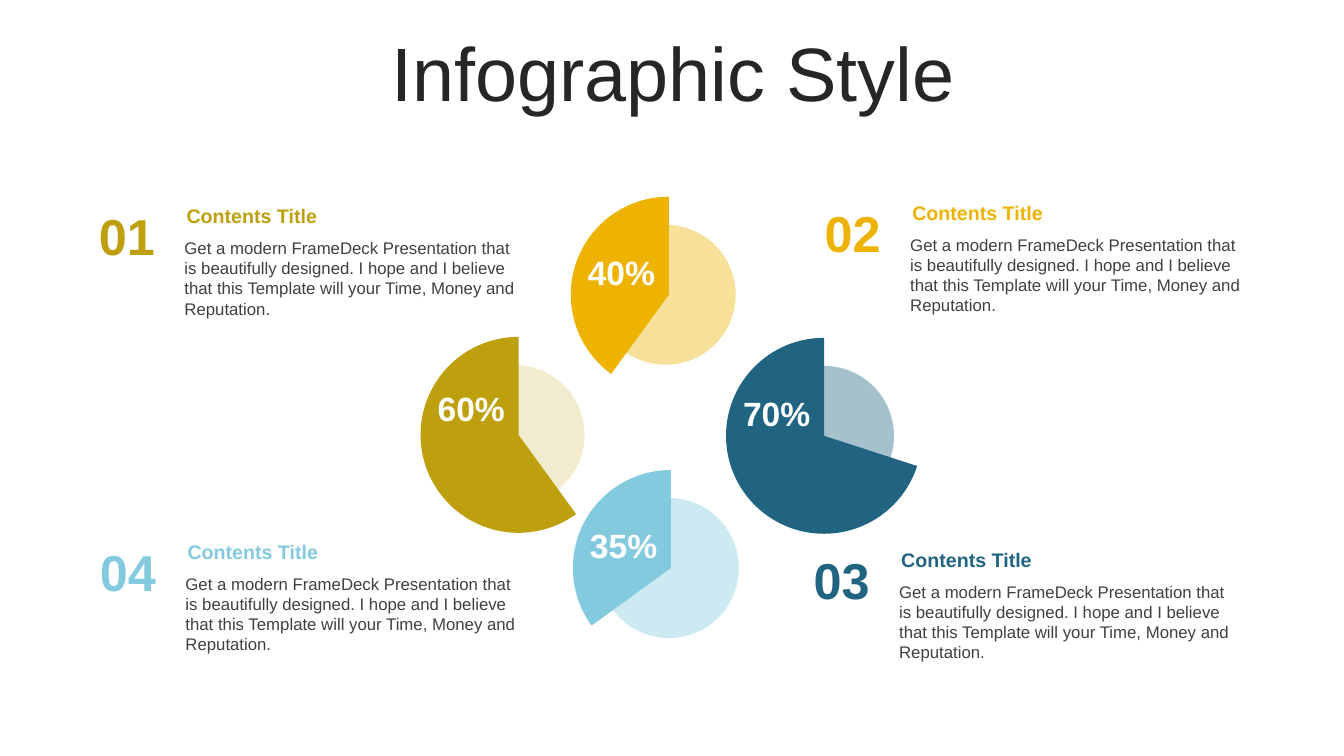
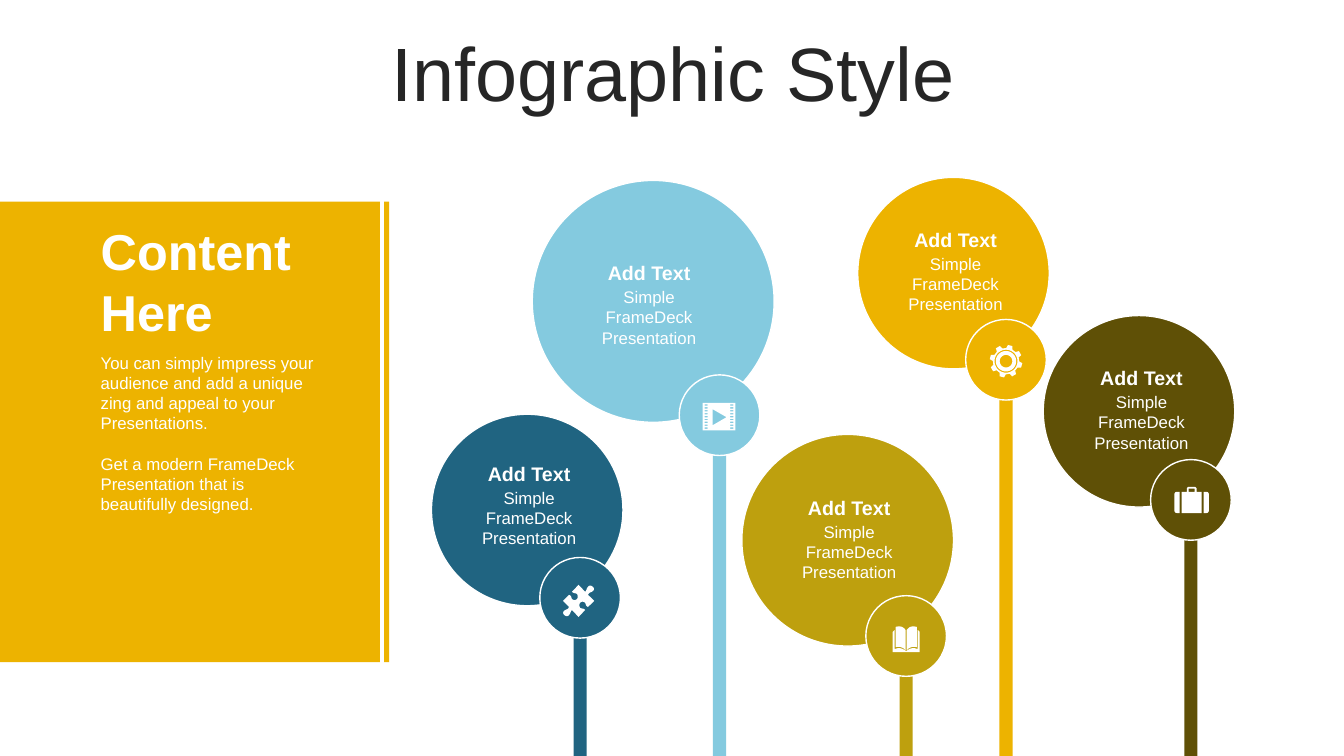
"""Build two infographic slides: pie bubbles and balloon stems."""
import math
from dataclasses import dataclass

import lxml.etree
import pptx
import pptx.chart.data
import pptx.dml.color
import pptx.enum.chart
import pptx.enum.shapes
import pptx.enum.text
import pptx.oxml.ns
import pptx.shapes.autoshape
import pptx.slide
import pptx.util

Pt = pptx.util.Pt
qn = pptx.oxml.ns.qn
SHAPE = pptx.enum.shapes.MSO_SHAPE
ALIGN = pptx.enum.text.PP_ALIGN
ANCHOR = pptx.enum.text.MSO_ANCHOR
Contour = list[tuple[float, ...]]


@dataclass(frozen=True)
class Theme:
    font: str = "Arial"
    white: str = "FFFFFF"
    ink: str = "262626"
    grey: str = "404040"
    amber: str = "EDB300"
    olive: str = "BEA00E"
    brown: str = "5F5006"
    blue: str = "206481"
    sky: str = "84CADF"
    title: float = 54
    number: float = 36
    percent: float = 24
    heading: float = 14
    body: float = 12


@dataclass(frozen=True)
class Pie:
    left: float
    top: float
    percent: int
    color: str
    disc_dx: float = 0
    label_dy: float = 45.4
    alpha: int = 40


@dataclass(frozen=True)
class Entry:
    left: float
    top: float
    number: str
    color: str


@dataclass(frozen=True)
class Balloon:
    left: float
    top: float
    size: float
    badge_x: float
    badge_y: float
    text_left: float
    text_top: float
    color: str
    icon: list[Contour]


T = Theme()
WIDTH, HEIGHT = 960, 540
PIE_W, PIE_H, PIE_SIZE, DISC = 162, 159.1, 140, 100
BADGE, STEM = 57.6, 9.4
PITCH = ("Get a modern FrameDeck Presentation that is beautifully designed. "
         "I hope and I believe that this Template will your Time, Money and Reputation.")


def rgb(color: str) -> pptx.dml.color.RGBColor:
    return pptx.dml.color.RGBColor.from_string(color)


def paint(sp: pptx.shapes.autoshape.Shape, color: str, outline: str | None = None,
          alpha: int = 100) -> None:
    sp.shadow.inherit = False
    sp.fill.solid()
    sp.fill.fore_color.rgb = rgb(color)
    if alpha < 100:
        clr = sp.fill._xPr.find(qn("a:solidFill"))[0]
        lxml.etree.SubElement(clr, qn("a:alpha")).set("val", str(alpha * 1000))
    if outline:
        sp.line.color.rgb = rgb(outline)
        sp.line.width = Pt(1)
    else:
        sp.line.fill.background()


def add_shape(s: pptx.slide.Slide, kind: SHAPE, left: float, top: float, width: float,
              height: float, color: str, outline: str | None = None, alpha: int = 100) -> None:
    sp = s.shapes.add_shape(kind, Pt(left), Pt(top), Pt(width), Pt(height))
    paint(sp, color, outline, alpha)


def add_text(s: pptx.slide.Slide, text: str, left: float, top: float, width: float,
             height: float, size: float, color: str, bold: bool = False,
             align: ALIGN = ALIGN.LEFT, anchor: ANCHOR = ANCHOR.TOP, inset: float = 7.2,
             gap: float = 0, spacing: float = 1.0) -> None:
    sp = s.shapes.add_textbox(Pt(left), Pt(top), Pt(width), Pt(height))
    tf = sp.text_frame
    tf.word_wrap = True
    tf.vertical_anchor = anchor
    tf.margin_left = tf.margin_right = Pt(inset)
    tf.text = text
    for i, p in enumerate(tf.paragraphs):
        p.alignment = align
        p.line_spacing = spacing
        if i:
            p.space_before = Pt(gap)
        for r in p.runs:
            r.font.name = T.font
            r.font.size = Pt(size)
            r.font.bold = bold
            r.font.color.rgb = rgb(color)


def add_slide(prs: pptx.presentation.Presentation) -> pptx.slide.Slide:
    s = prs.slides.add_slide(prs.slide_layouts[6])
    add_text(s, "Infographic Style", 25.2, 26.6, 911.5, 56.9, T.title, T.ink,
             align=ALIGN.CENTER, anchor=ANCHOR.MIDDLE, spacing=0.9)
    return s


def center_plot(chart: pptx.chart.chart.Chart) -> None:
    area = chart.element.find(".//" + qn("c:plotArea"))
    for old in area.findall(qn("c:layout")):
        area.remove(old)
    layout = lxml.etree.Element(qn("c:layout"))
    manual = lxml.etree.SubElement(layout, qn("c:manualLayout"))
    w, h = PIE_SIZE / PIE_W, PIE_SIZE / PIE_H
    for tag, value in (("layoutTarget", "inner"), ("xMode", "edge"), ("yMode", "edge"),
                       ("x", (1 - w) / 2), ("y", (1 - h) / 2), ("w", w), ("h", h)):
        lxml.etree.SubElement(manual, qn("c:" + tag)).set("val", str(value))
    area.insert(0, layout)


def draw_pie(s: pptx.slide.Slide, pie: Pie) -> None:
    data = pptx.chart.data.CategoryChartData()
    data.categories = ["1", "2"]
    data.add_series("Series 1", (100 - pie.percent, pie.percent))
    chart = s.shapes.add_chart(pptx.enum.chart.XL_CHART_TYPE.PIE, Pt(pie.left), Pt(pie.top),
                               Pt(PIE_W), Pt(PIE_H), data).chart
    chart.has_legend = chart.has_title = False
    chart.font.name = T.font
    chart.font.size = Pt(18)
    chart.plots[0].vary_by_categories = False
    rest, share = (chart.series[0].points[i].format for i in range(2))
    rest.fill.background()
    share.fill.solid()
    share.fill.fore_color.rgb = rgb(pie.color)
    for fmt in (rest, share):
        fmt.line.fill.background()
    center_plot(chart)
    add_shape(s, SHAPE.OVAL, pie.left + (PIE_W - DISC) / 2 + pie.disc_dx,
              pie.top + (PIE_H - DISC) / 2, DISC, DISC, pie.color, alpha=pie.alpha)
    add_text(s, f"{pie.percent}%", pie.left + 13, pie.top + pie.label_dy, 68.4, 36,
             T.percent, T.white, True, ALIGN.CENTER, ANCHOR.MIDDLE)


def draw_entry(s: pptx.slide.Slide, e: Entry) -> None:
    add_text(s, e.number, e.left, e.top, 57.6, 51.1, T.number, e.color, True, ALIGN.CENTER)
    add_text(s, PITCH, e.left + 62.8, e.top + 23, 254.9, 65.5, T.body, T.grey)
    add_text(s, "Contents Title", e.left + 62.8, e.top - 1.2, 254.9, 24.5, T.heading,
             e.color, True, inset=8.6)


def rect(left: float, top: float, right: float, bottom: float) -> Contour:
    return [(left, top), (right, top), (right, bottom), (left, bottom)]


def scaled(contour: Contour, sx: int, sy: int) -> Contour:
    return [tuple(v * (sy if i % 2 else sx) for i, v in enumerate(step)) for step in contour]


def ring(radius: float, cx: float = 0, cy: float = 0) -> Contour:
    angles = (math.radians(a) for a in range(0, 360, 10))
    return [(cx + radius * math.cos(a), cy + radius * math.sin(a)) for a in angles]


def flatten(contour: Contour) -> list[tuple[float, float]]:
    points = []
    for step in contour:
        if len(step) == 2:
            points.append(step)
            continue
        x0, y0 = points[-1]
        x1, y1, x2, y2, x3, y3 = step
        for i in range(1, 9):
            t = i / 8
            a, b, c, d = (1 - t) ** 3, 3 * t * (1 - t) ** 2, 3 * t * t * (1 - t), t ** 3
            points.append((a * x0 + b * x1 + c * x2 + d * x3,
                           a * y0 + b * y1 + c * y2 + d * y3))
    return points


def film_icon() -> list[Contour]:
    holes = [rect(x, -7.8 + 2.07 * i, x + 2.2, -6.8 + 2.07 * i)
             for x in (-10.7, 7.6) for i in range(9)]
    return [rect(-12.1, -8.8, 11.3, 10.8), [(-5, -4.3), (-5, 7.2), (5, 1.4)], *holes]


def gear_icon() -> list[Contour]:
    teeth = [(r * math.cos(math.radians(45 * i - 75 + a)),
              1 + r * math.sin(math.radians(45 * i - 75 + a)))
             for i in range(8) for a, r in ((-14, 9.4), (-8, 11.7), (8, 11.7), (14, 9.4))]
    return [teeth, *(ring(r, 0, 1) for r in (8.2, 7.3, 4.5))]


def case_icon() -> list[Contour]:
    side = [(-8, -5.8), (-9.8, -5.8), (-11.1, -5.8, -11.8, -5, -11.8, -4), (-11.8, 7.6),
            (-11.8, 8.6, -11.1, 9.4, -9.8, 9.4), (-8, 9.4)]
    right = [tuple(v + (0 if i % 2 else 1) for i, v in enumerate(step))
             for step in scaled(side, -1, 1)]
    middle = [(-6.6, -5.8), (-2.9, -5.8), (-2.9, -8.4), (-2, -9.4), (3, -9.4), (4, -8.4),
              (4, -5.8), (7.6, -5.8), (7.6, 9.4), (-6.6, 9.4)]
    return [side, right, middle, rect(-1.6, -8, 2.7, -5.8)]


def book_icon() -> list[Contour]:
    page = [(-0.4, 10), (-0.4, -4.3), (-2.2, -6.8, -4.3, -7.4, -7.6, -6.5), (-7.6, 8),
            (-4.7, 7.2, -2.2, 8.2, -0.4, 10)]
    cover = [(-9.7, -2.9), (-8.3, -4.3), (-8.3, 9.4), (-5.4, 8, -2.7, 8.6, 0, 10.8),
             (2.7, 8.6, 5.4, 8, 8.3, 9.4), (8.3, -4.3), (9.7, -2.9), (9.7, 11.5), (-9.7, 11.5)]
    return [cover, page, scaled(page, -1, 1)]


def puzzle_icon() -> list[Contour]:
    half = [(-6.8, -4.3), (-4.7, -3.6, -5.4, -2.2, -4.7, -1.4),
            (-3.2, 0, -1.8, -0.7, -1.1, -1.4), (-0.4, -2.2, -0.4, -3.6, -1.1, -5),
            (-2.5, -5.8, -3.2, -5, -4.7, -6.5), (0, -11.5), (4.7, -6.5),
            (6.1, -7.9, 5.4, -8.6, 6.8, -10.1), (7.6, -11.5, 9.7, -10.8, 10.1, -10.1),
            (11.2, -9.4, 11.2, -7.9, 10.4, -7.2), (9, -5.8, 7.6, -6.5, 6.8, -4.3), (11.2, 0)]
    whole = half + scaled(half, -1, -1)
    return [[(x - 1.1, y + 2.2) for x, y in flatten(whole)]]


def draw_icon(s: pptx.slide.Slide, icon: list[Contour], cx: float, cy: float) -> None:
    outlines = [[((cx + x) * 100, (cy + y) * 100) for x, y in flatten(c)] for c in icon]
    fb = s.shapes.build_freeform(*outlines[0][0], scale=Pt(1) / 100)
    for i, points in enumerate(outlines):
        if i:
            fb.move_to(*points[0])
        fb.add_line_segments(points[1:], close=True)
    paint(fb.convert_to_shape(), T.white)


def draw_balloon(s: pptx.slide.Slide, b: Balloon) -> None:
    add_shape(s, SHAPE.OVAL, b.left, b.top, b.size, b.size, b.color, T.white)
    add_shape(s, SHAPE.OVAL, b.badge_x - BADGE / 2, b.badge_y - BADGE / 2, BADGE, BADGE,
              b.color, T.white)
    draw_icon(s, b.icon, b.badge_x, b.badge_y)
    add_text(s, "Add Text", b.text_left, b.text_top, 93.6, 24.5, T.heading, T.white, True,
             ALIGN.CENTER)
    add_text(s, "Simple FrameDeck Presentation", b.text_left, b.text_top + 18.6, 93.6, 51.1,
             T.body, T.white, align=ALIGN.CENTER)


def build_pies(prs: pptx.presentation.Presentation) -> None:
    s = add_slide(prs)
    for pie in (Pie(507.6, 231.8, 70, T.blue),
                Pie(398.2, 326.2, 35, T.sky, -1.4),
                Pie(396.7, 131, 40, T.amber, -2.2),
                Pie(289.4, 231.1, 60, T.olive, -2.9, 42.5, 20)):
        draw_pie(s, pie)
    for entry in (Entry(61.9, 143.3, "01", T.olive), Entry(580.3, 141.1, "02", T.amber),
                  Entry(572.4, 388.8, "03", T.blue), Entry(62.6, 383, "04", T.sky)):
        draw_entry(s, entry)


def build_balloons(prs: pptx.presentation.Presentation) -> None:
    s = add_slide(prs)
    for left, width in ((0, 271.4), (274.3, 3.6)):
        add_shape(s, SHAPE.RECTANGLE, left, 144, width, 329, T.amber)
    add_text(s, "Content Here", 64.8, 153.4, 171.4, 94.3, T.number, T.white, True,
             anchor=ANCHOR.MIDDLE)
    add_text(s, "You can simply impress your audience and add a unique zing and appeal to your "
             "Presentations.\nGet a modern FrameDeck Presentation that is beautifully designed.",
             64.8, 248.4, 171.4, 123.8, T.body, T.white, gap=14.4)
    balloons = (
        Balloon(380.2, 128.9, 172.8, 514, 296.6, 416.9, 182.9, T.sky, film_icon()),
        Balloon(745.2, 225.4, 136.8, 850.7, 357.1, 768.6, 257.8, T.brown, case_icon()),
        Balloon(529.9, 310.3, 151.2, 647.3, 454.3, 559.8, 350.6, T.olive, book_icon()),
        Balloon(308.2, 295.9, 136.8, 414.4, 427, 331.2, 326.2, T.blue, puzzle_icon()),
        Balloon(612.7, 126.7, 136.8, 718.6, 257, 635.8, 159.1, T.amber, gear_icon()),
    )
    for b in balloons:
        add_shape(s, SHAPE.RECTANGLE, b.badge_x - STEM / 2, b.badge_y, STEM,
                  HEIGHT - b.badge_y, b.color)
    for b in balloons:
        draw_balloon(s, b)


def main() -> None:
    prs = pptx.Presentation()
    prs.slide_width, prs.slide_height = Pt(WIDTH), Pt(HEIGHT)
    build_pies(prs)
    build_balloons(prs)
    prs.save("out.pptx")


if __name__ == "__main__":
    main()
